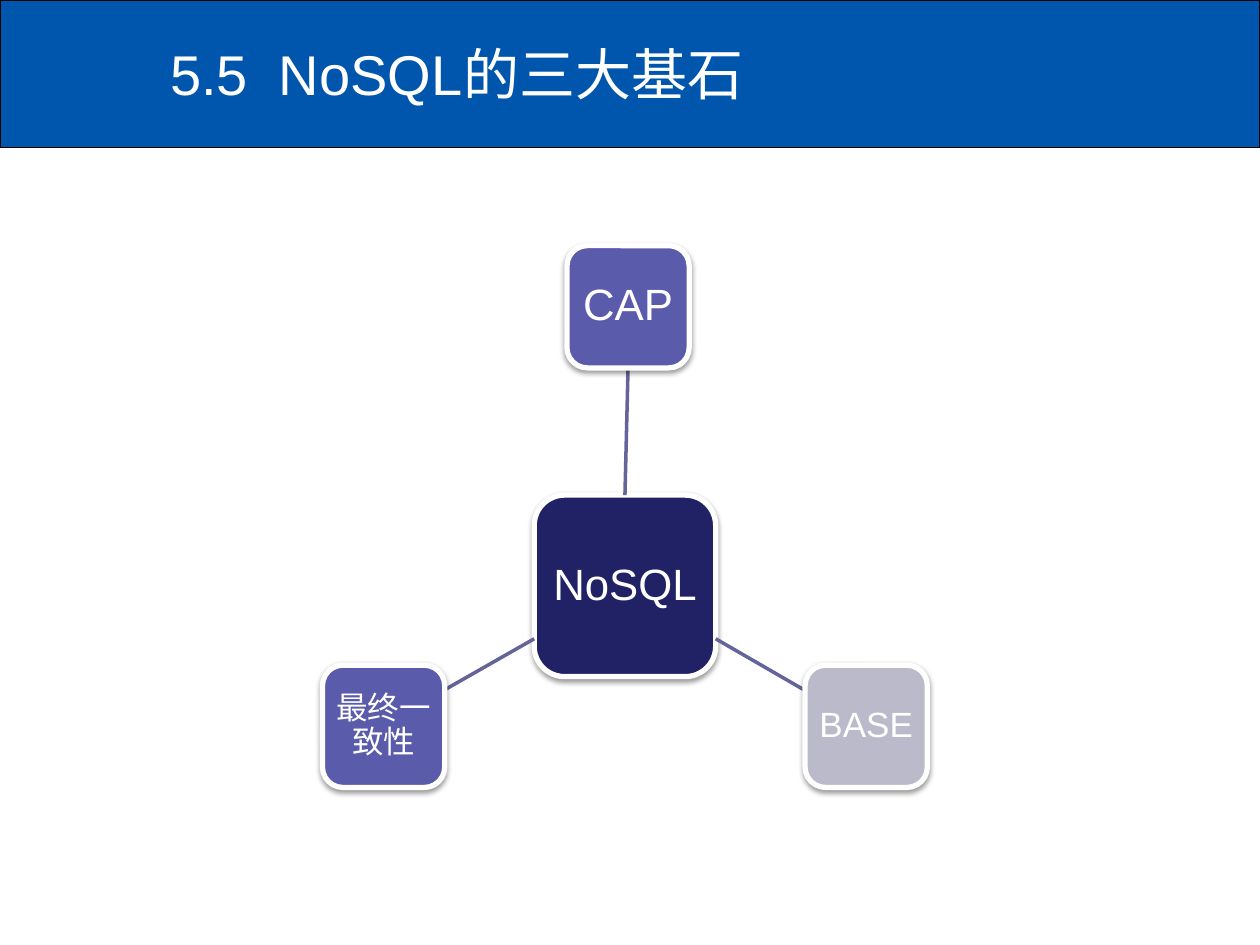
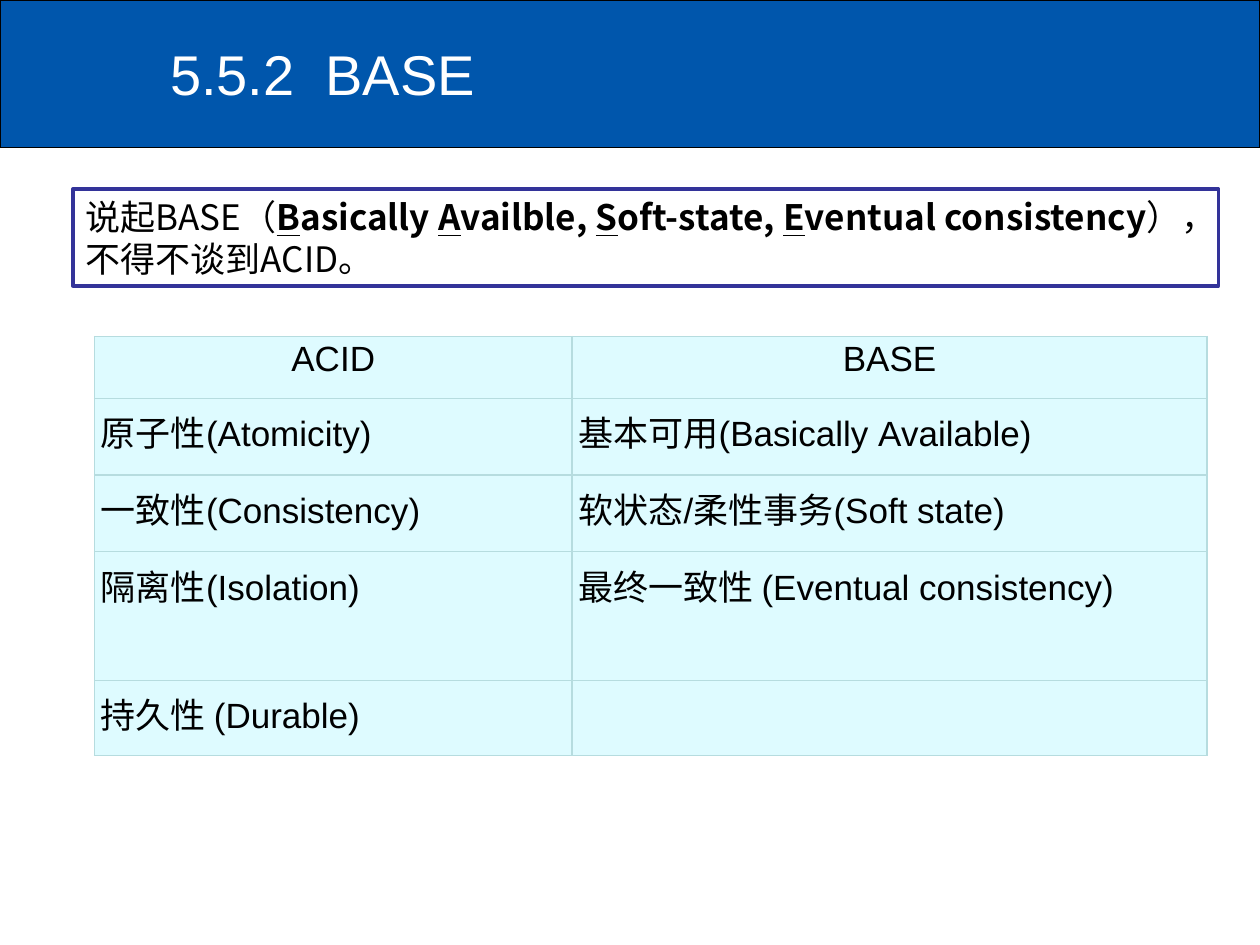
"""Build two slides on the foundations of NoSQL."""
from lxml import etree
from pptx import Presentation
from pptx.dml.color import RGBColor
from pptx.enum.shapes import MSO_CONNECTOR, MSO_SHAPE
from pptx.enum.text import MSO_ANCHOR, PP_ALIGN
from pptx.oxml import parse_xml
from pptx.oxml.ns import qn
from pptx.util import Inches, Pt

RECTANGLE = MSO_SHAPE.RECTANGLE
ROUNDED = MSO_SHAPE.ROUNDED_RECTANGLE
STRAIGHT = MSO_CONNECTOR.STRAIGHT
LEFT, CENTER = PP_ALIGN.LEFT, PP_ALIGN.CENTER
TOP, MIDDLE = MSO_ANCHOR.TOP, MSO_ANCHOR.MIDDLE

LATIN_FONT = "Arial"
CHINESE_FONT = "Noto Sans CJK SC"
WHITE, BLACK = "FFFFFF", "000000"
BAND_BLUE = "0056AC"
NAVY, VIOLET, PALE_VIOLET = "212166", "5B5BAB", "BABACA"
LINK_COLOR = "64649B"
BOX_BORDER = "333399"
CELL_FILL, CELL_BORDER = "DEFBFF", "B6DCDF"
DRAWING = "http://schemas.openxmlformats.org/drawingml/2006/main"
TITLE_ONLY = 5

NODE_SIZE = 0.97
SATELLITES = [
    ("CAP", 4.5, 1.95, VIOLET, 25),
    ("BASE", 6.39, 5.28, PALE_VIOLET, 20),
    ("最终一致性", 2.56, 5.28, VIOLET, 18),
]
SIDE_LINKS = [(5.68, 5.07, 6.39, 5.48), (4.24, 5.07, 3.52, 5.48)]

INTRODUCTION = [
    ("说起BASE（", False, False),
    ("B", True, True), ("asically ", True, False),
    ("A", True, True), ("vailble, ", True, False),
    ("S", True, True), ("oft-state, ", True, False),
    ("E", True, True), ("ventual consistency", True, False),
    ("），不得不谈到ACID。", False, False),
]
COMPARISON = [
    ("ACID", "BASE"),
    ("原子性(Atomicity)", "基本可用(Basically\u00a0Available)"),
    ("一致性(Consistency)", "软状态/柔性事务(Soft state)"),
    ("隔离性(Isolation)", "最终一致性 (Eventual consistency)"),
    ("持久性 (Durable)", ""),
]
COLUMN_WIDTHS = [3.79, 5.04]
ROW_HEIGHTS = [0.49, 0.61, 0.61, 1.02, 0.6]


def rgb(color):
    """Return a colour object for a hex string."""
    return RGBColor.from_string(color)


def format_run(run, size, color, font=LATIN_FONT):
    """Set the size, colour and fonts of a run."""
    run.font.size = Pt(size)
    run.font.color.rgb = rgb(color)
    run.font.name = font
    east_asian = etree.SubElement(run.font._element, qn("a:ea"))
    east_asian.set("typeface", CHINESE_FONT)


def format_frame(text_frame, size, color, alignment, anchor):
    """Format a text frame and every run in it."""
    text_frame.word_wrap = True
    text_frame.vertical_anchor = anchor
    for paragraph in text_frame.paragraphs:
        paragraph.alignment = alignment
        for run in paragraph.runs:
            format_run(run, size, color)


def set_margins(target, horizontal, vertical):
    """Set the inner margins of a text frame or table cell."""
    target.margin_left = target.margin_right = Inches(horizontal)
    target.margin_top = target.margin_bottom = Inches(vertical)


def add_box(slide, kind, left, top, width, height, fill, line, line_width):
    """Add a filled, outlined shape without a shadow."""
    shape = slide.shapes.add_shape(
        kind, Inches(left), Inches(top), Inches(width), Inches(height))
    shape.shadow.inherit = False
    shape.fill.solid()
    shape.fill.fore_color.rgb = rgb(fill)
    shape.line.color.rgb = rgb(line)
    shape.line.width = Pt(line_width)
    return shape


def add_titled_slide(presentation, title):
    """Add a slide with the blue band and its title."""
    slide = presentation.slides.add_slide(presentation.slide_layouts[TITLE_ONLY])
    band = add_box(slide, RECTANGLE, 0, 0, 10, 1.17, BAND_BLUE, BLACK, 0.75)
    slide.shapes._spTree.insert(2, band._element)
    placeholder = slide.shapes.title
    placeholder.left, placeholder.top = Inches(1.25), Inches(0.08)
    placeholder.width, placeholder.height = Inches(8.75), Inches(1)
    placeholder.text_frame.text = title
    format_frame(placeholder.text_frame, 32, WHITE, LEFT, MIDDLE)
    return slide


def add_drop_shadow(shape):
    """Give a shape a soft shadow below it."""
    effects = shape._element.spPr.find(qn("a:effectLst"))
    effects.append(parse_xml(
        f'<a:outerShdw xmlns:a="{DRAWING}" blurRad="{Pt(3.1)}" dist="{Pt(1.6)}" '
        'dir="5400000" rotWithShape="0"><a:srgbClr val="000000">'
        '<a:alpha val="38000"/></a:srgbClr></a:outerShdw>'))


def add_node(slide, label, left, top, side, fill, size):
    """Add a rounded square node with a centred label."""
    node = add_box(slide, ROUNDED, left, top, side, side, fill, WHITE, 3)
    add_drop_shadow(node)
    node.text_frame.text = label
    set_margins(node.text_frame, 0.04, 0.06)
    format_frame(node.text_frame, size, WHITE, CENTER, MIDDLE)
    node.text_frame.paragraphs[0].line_spacing = 0.9
    return node


def add_link(slide, start_x, start_y, end_x, end_y):
    """Add a plain line between two nodes."""
    link = slide.shapes.add_connector(
        STRAIGHT, Inches(start_x), Inches(start_y), Inches(end_x), Inches(end_y))
    link.line.color.rgb = rgb(LINK_COLOR)
    link.line.width = Pt(2)
    etree.SubElement(link._element.spPr, qn("a:effectLst"))
    return link


def add_introduction(slide):
    """Add the framed sentence that introduces BASE."""
    box = add_box(slide, RECTANGLE, 0.58, 1.5, 9.09, 0.77, WHITE, BOX_BORDER, 2)
    box.text_frame.word_wrap = True
    box.text_frame.vertical_anchor = TOP
    paragraph = box.text_frame.paragraphs[0]
    paragraph.alignment = LEFT
    for text, bold, underline in INTRODUCTION:
        run = paragraph.add_run()
        run.text = text
        format_run(run, 20, BLACK, CHINESE_FONT)
        run.font.bold = bold
        run.font.underline = underline


def format_cell(cell, is_header):
    """Set the fill, borders, margins and text style of a cell."""
    set_margins(cell, *((0.03, 0.03) if is_header else (0.05, 0.06)))
    format_frame(cell.text_frame, 20, BLACK, CENTER if is_header else LEFT, TOP)
    for run in cell.text_frame.paragraphs[0].runs:
        run.font.bold = False
    properties = cell._tc.get_or_add_tcPr()
    for side in ("lnL", "lnR", "lnT", "lnB"):
        properties.append(parse_xml(
            f'<a:{side} xmlns:a="{DRAWING}" w="{Pt(0.75)}"><a:solidFill>'
            f'<a:srgbClr val="{CELL_BORDER}"/></a:solidFill></a:{side}>'))
    cell.fill.solid()
    cell.fill.fore_color.rgb = rgb(CELL_FILL)


def add_comparison(slide):
    """Add the table that compares ACID with BASE."""
    table = slide.shapes.add_table(
        len(ROW_HEIGHTS), len(COLUMN_WIDTHS), Inches(0.75), Inches(2.67),
        Inches(sum(COLUMN_WIDTHS)), Inches(sum(ROW_HEIGHTS))).table
    for column, width in zip(table.columns, COLUMN_WIDTHS):
        column.width = Inches(width)
    for row_index, texts in enumerate(COMPARISON):
        table.rows[row_index].height = Inches(ROW_HEIGHTS[row_index])
        for column_index, text in enumerate(texts):
            cell = table.cell(row_index, column_index)
            cell.text_frame.text = text
            format_cell(cell, row_index == 0)


def build_foundations(presentation):
    """Build the diagram of the three foundations."""
    slide = add_titled_slide(presentation, "5.5  NoSQL的三大基石")
    center = add_node(slide, "NoSQL", 4.24, 3.93, 1.44, NAVY, 25)
    upward = add_link(slide, 4.97, 3.93, 4.98, 2.92)
    for ends in SIDE_LINKS:
        add_link(slide, *ends)
    satellites = [
        add_node(slide, label, left, top, NODE_SIZE, fill, size)
        for label, left, top, fill, size in SATELLITES]
    upward.begin_connect(center, 0)
    upward.end_connect(satellites[0], 2)


def build_base(presentation):
    """Build the comparison of ACID and BASE."""
    slide = add_titled_slide(presentation, "5.5.2  BASE")
    add_comparison(slide)
    add_introduction(slide)


def main():
    """Build and save the presentation."""
    presentation = Presentation()
    presentation.slide_width = Inches(10)
    presentation.slide_height = Inches(7.5)
    build_foundations(presentation)
    build_base(presentation)
    presentation.save("out.pptx")


if __name__ == "__main__":
    main()
